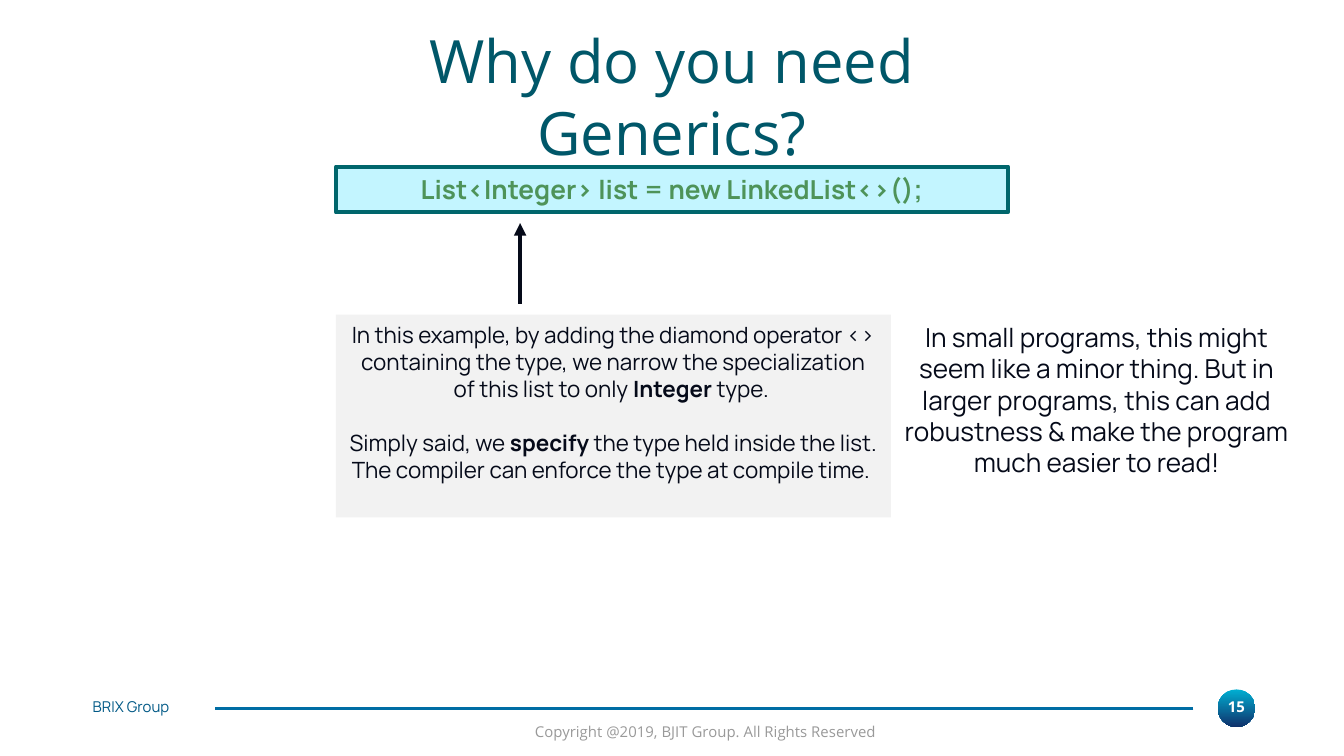
from lxml.etree import SubElement
from pptx import Presentation
from pptx.dml.color import RGBColor
from pptx.enum.shapes import MSO_CONNECTOR as Connector, MSO_SHAPE as Shape
from pptx.enum.text import MSO_ANCHOR as Anchor, PP_ALIGN as Align
from pptx.oxml.ns import qn
from pptx.util import Inches, Pt

COLORS = {
    "title": "005769", "ink": "050A19", "code": "4E9359",
    "code_fill": "C3F5FF", "code_line": "00666C", "panel": "F2F2F2",
    "rule": "006DA4", "brand": "005986", "copyright": "999999",
    "badge_top": "00AFD2", "badge_bottom": "10316B", "white": "FFFFFF",
}


def color(name):
    return RGBColor.from_string(COLORS[name])


def write(shape, paragraphs, size, ink, font="Manrope", align=Align.CENTER,
          inset=(0.1, 0.05), anchor=Anchor.TOP, wrap=True, gap=0):
    """Fill a shape with paragraphs, each a list of (text, bold) runs."""
    frame = shape.text_frame
    frame.word_wrap = wrap
    frame.vertical_anchor = anchor
    frame.margin_left = frame.margin_right = Inches(inset[0])
    frame.margin_top = frame.margin_bottom = Inches(inset[1])
    for index, runs in enumerate(paragraphs):
        para = frame.paragraphs[0] if index == 0 else frame.add_paragraph()
        para.alignment = align
        para.space_before = Pt(gap if index else 0)
        for text, bold in runs:
            span = para.add_run()
            span.text = text
            span.font.name = font
            span.font.size = Pt(size)
            span.font.bold = bold
            span.font.color.rgb = color(ink)


def add_text(page, box, *args, **style):
    write(page.shapes.add_textbox(*map(Inches, box)), *args, **style)


def add_block(page, kind, box):
    block = page.shapes.add_shape(kind, *map(Inches, box))
    block.shadow.inherit = False
    block.line.fill.background()
    return block


def add_line(page, start, end, ink, width, arrow=False):
    line = page.shapes.add_connector(
        Connector.STRAIGHT, *map(Inches, start + end))
    line.line.color.rgb = color(ink)
    line.line.width = Pt(width)
    properties = line._element.spPr
    if arrow:
        SubElement(properties.find(qn("a:ln")), qn("a:tailEnd"), type="triangle")
    SubElement(properties, qn("a:effectLst"))


def add_footer(page, box):
    left, top, width, height = box
    # Page number badge at the right end
    size = 0.28
    badge_left = left + width - size
    badge = add_block(page, Shape.OVAL, (badge_left, top, size, size))
    badge.fill.gradient()
    badge.fill.gradient_angle = 270
    for stop, name in zip(badge.fill.gradient_stops, ("badge_top", "badge_bottom")):
        stop.color.rgb = color(name)
    add_text(page, (badge_left + 0.03, top + 0.06, 0.22, 0.14), [[("15", True)]],
             8, "white", font="Open Sans", inset=(0, 0))
    # Rule, company name and copyright
    middle = top + size / 2
    add_line(page, (badge_left - 0.18, middle), (left + 0.91, middle), "rule", 1.5)
    add_text(page, (left, top + 0.06, 0.97, 0.14), [[("BRIX Group", False)]],
             8, "brand", align=Align.LEFT, inset=(0, 0))
    add_text(page, (left + 3.16, top + 0.2, 2.77, height - 0.2),
             [[("Copyright @2019, BJIT Group. All Rights Reserved", False)]],
             8, "copyright", font="Open Sans", align=Align.RIGHT, wrap=False)


def add_title(page, box):
    title = page.shapes.title
    title.left, title.top, title.width, title.height = map(Inches, box)
    write(title, [[("Why do you need Generics?", False)]], 32, "title",
          font="Open Sans")


def add_code_example(page, box):
    left, top, width, height = box
    # Code line
    code = add_block(page, Shape.RECTANGLE, (left, top, width, 0.34))
    code.fill.solid()
    code.fill.fore_color.rgb = color("code_fill")
    code.line.color.rgb = color("code_line")
    code.line.width = Pt(2.25)
    write(code, [[("List<Integer> list = new LinkedList<>();", True)]], 14, "code")
    # Arrow from the explanation to the type
    arrow_x = left + 1.37
    add_line(page, (arrow_x, top + 1.02), (arrow_x, top + 0.42), "ink", 2.25, arrow=True)
    # Explanation panel
    panel = add_block(page, Shape.RECTANGLE, (left, top + 1.1, 4.13, height - 1.1))
    panel.fill.solid()
    panel.fill.fore_color.rgb = color("panel")
    write(panel, [
        [("In this example, by adding the diamond operator <> containing the type, "
          "we narrow the specialization of this list to only ", False),
         ("Integer ", True), ("type. ", False)],
        [("Simply said, we ", False), ("specify ", True),
         ("the type held inside the list. The compiler can enforce the type "
          "at compile time. ", False)],
    ], 12, "ink", gap=14.5)


def add_remark(page, box):
    add_text(page, box, [[(
        "In small programs, this might seem like a minor thing. But in larger "
        "programs, this can add robustness & make the program much easier to read!",
        False)]], 14, "ink")


def main():
    deck = Presentation()
    # Widescreen, 16:9
    deck.slide_width = Inches(10)
    deck.slide_height = deck.slide_width * 9 // 16
    page = deck.slides.add_slide(deck.slide_layouts[5])
    add_footer(page, (0.69, 5.13, 8.65, 0.44))
    add_title(page, (2.1, 0.13, 5.8, 0.64))
    add_code_example(page, (2.5, 1.24, 5, 2.61))
    add_remark(page, (6.62, 2.34, 3.08, 1.51))
    deck.save("out.pptx")


if __name__ == "__main__":
    main()
